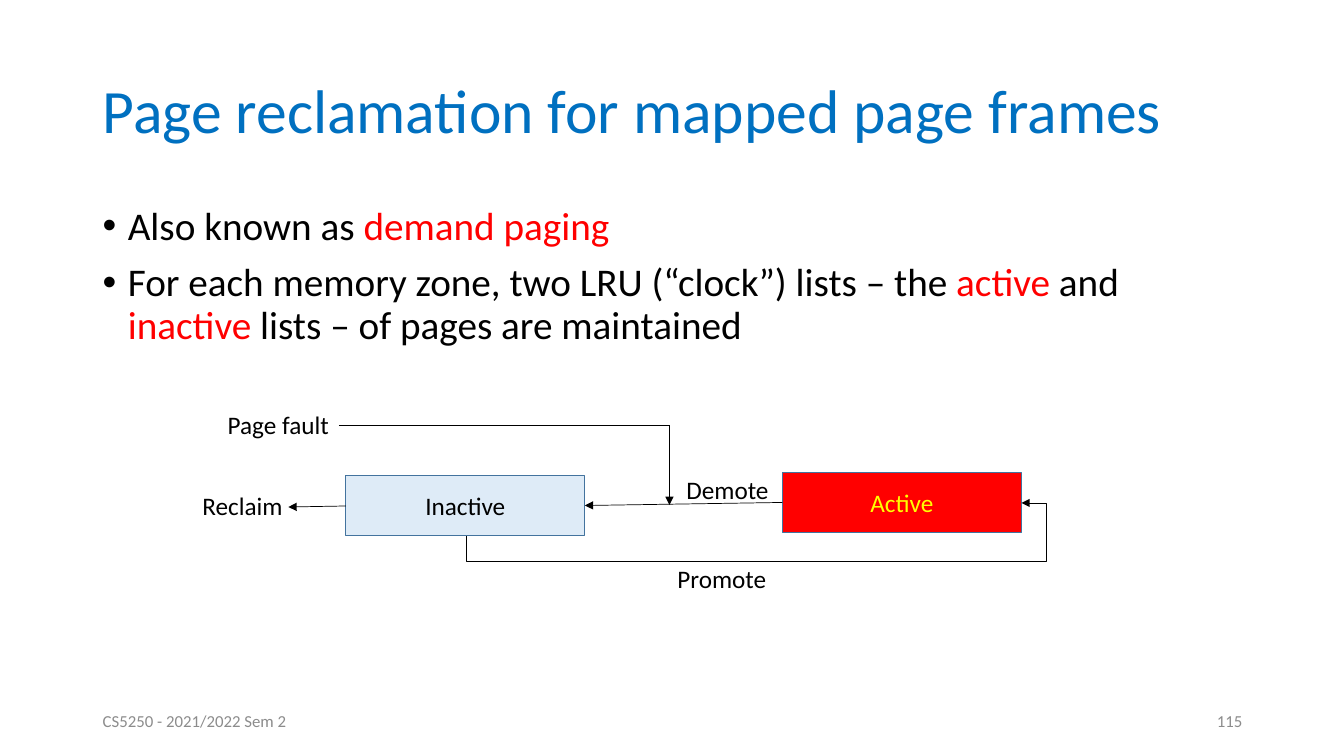
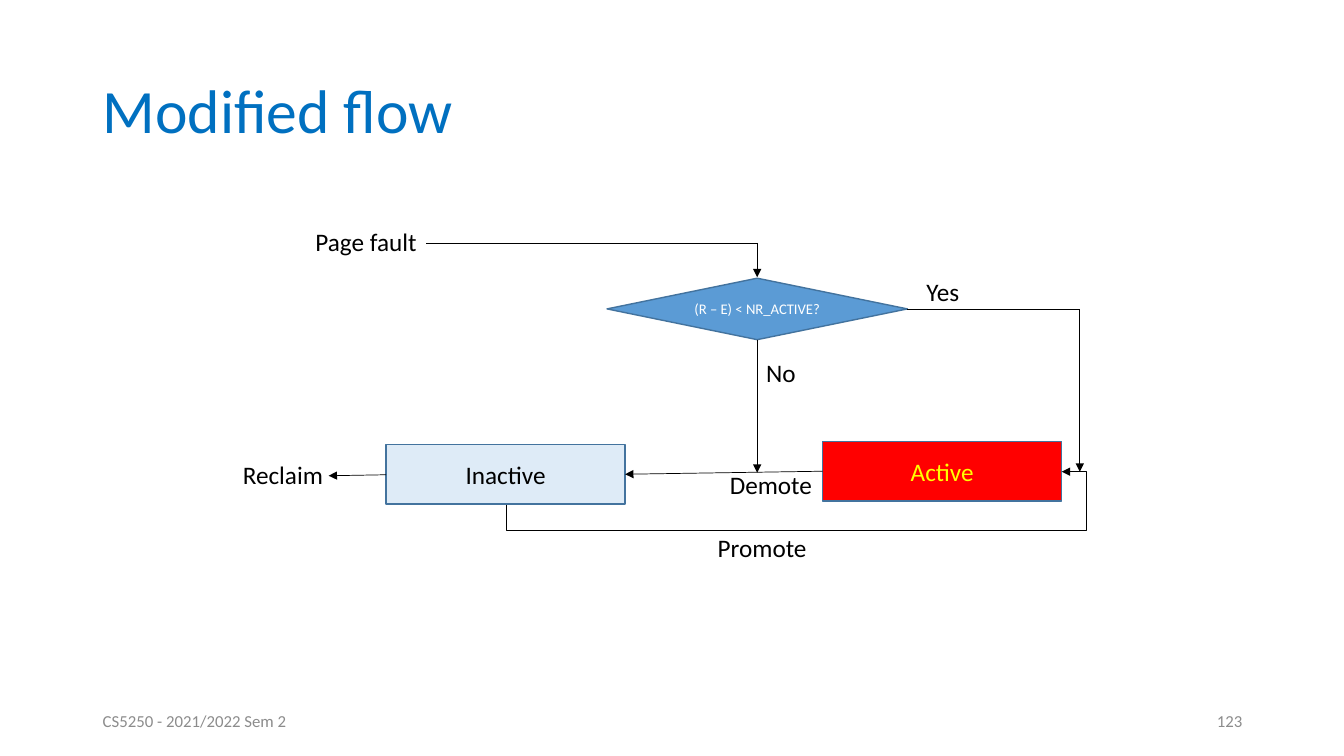
from dataclasses import dataclass

import lxml.etree
import pptx
import pptx.dml.color
import pptx.enum.shapes
import pptx.enum.text
import pptx.oxml.ns
import pptx.util

Inches = pptx.util.Inches
Pt = pptx.util.Pt
qn = pptx.oxml.ns.qn
Shapes = pptx.enum.shapes.MSO_SHAPE
Connectors = pptx.enum.shapes.MSO_CONNECTOR
Align = pptx.enum.text.PP_ALIGN
Anchor = pptx.enum.text.MSO_ANCHOR

BLACK, WHITE, RED, YELLOW = "000000", "FFFFFF", "FF0000", "FFFF00"
TITLE_BLUE, PALE_BLUE, MID_BLUE, EDGE_BLUE = "0070C0", "DEEBF7", "5B9BD5", "43739E"
GREY = "8C8C8C"
FOOTER = "CS5250 - 2021/2022 Sem 2"
MARGIN, CONTENT_WIDTH = 0.92, 11.5
NODE_WIDTH, NODE_HEIGHT = 2.37, 0.59


@dataclass(frozen=True)
class Span:
    text: str
    color: str = BLACK


@dataclass(frozen=True)
class Node:
    text: str
    left: float
    top: float
    fill: str
    color: str
    width: float = NODE_WIDTH
    height: float = NODE_HEIGHT
    size: float = 18
    shape: int = Shapes.RECTANGLE


@dataclass(frozen=True)
class Label:
    text: str
    left: float
    top: float
    width: float


@dataclass(frozen=True)
class Line:
    start: tuple[float, float]
    end: tuple[float, float]
    arrow: bool = True


def rgb(color: str):
    return pptx.dml.color.RGBColor.from_string(color)


def write_span(para, span: Span, size: float) -> None:
    run = para.add_run()
    run.text = span.text
    for name, value in {"name": "Calibri", "size": Pt(size)}.items():
        setattr(run.font, name, value)
    run.font.color.rgb = rgb(span.color)


def add_box(page, left: float, top: float, width: float, height: float, **formats):
    box = page.shapes.add_textbox(Inches(left), Inches(top), Inches(width), Inches(height))
    for name, value in ({"word_wrap": True} | formats).items():
        setattr(box.text_frame, name, value)
    return box.text_frame


def add_bullets(page, items: list[list[Span]]) -> None:
    frame = add_box(page, MARGIN, 2, CONTENT_WIDTH, 4.76)
    for index, spans in enumerate(items):
        para = frame.add_paragraph() if index else frame.paragraphs[0]
        properties = para._p.get_or_add_pPr()
        for name, value in {"marL": Inches(0.25), "indent": Inches(-0.25)}.items():
            properties.set(name, str(value))
        font = lxml.etree.SubElement(properties, qn("a:buFont"))
        font.set("typeface", "Arial")
        bullet = lxml.etree.SubElement(properties, qn("a:buChar"))
        bullet.set("char", "•")
        formats = {"line_spacing": 0.9, "space_before": Pt(10 if index else 0)}
        for name, value in formats.items():
            setattr(para, name, value)
        for span in spans:
            write_span(para, span, 28)


def add_label(page, label: Label) -> None:
    frame = add_box(page, label.left, label.top, label.width, 0.4, word_wrap=False)
    write_span(frame.paragraphs[0], Span(label.text), 18)


def add_node(page, node: Node):
    shape = page.shapes.add_shape(
        node.shape, Inches(node.left), Inches(node.top), Inches(node.width), Inches(node.height)
    )
    shape.shadow.inherit = False
    shape.fill.solid()
    shape.fill.fore_color.rgb = rgb(node.fill)
    shape.line.color.rgb = rgb(EDGE_BLUE)
    shape.line.width = Pt(1)
    shape.text_frame.vertical_anchor = Anchor.MIDDLE
    para = shape.text_frame.paragraphs[0]
    para.alignment = Align.CENTER
    write_span(para, Span(node.text, node.color), node.size)
    return shape


def add_line(page, line: Line, kind: int = Connectors.STRAIGHT):
    connector = page.shapes.add_connector(
        kind, *(Inches(value) for value in (*line.start, *line.end))
    )
    connector.line.color.rgb = rgb(BLACK)
    connector.line.width = Pt(0.5)
    if line.arrow:
        outline = connector.line._get_or_add_ln()
        lxml.etree.SubElement(outline, qn("a:tailEnd")).set("type", "triangle")
    lxml.etree.SubElement(connector._element.spPr, qn("a:effectLst"))
    return connector


def add_return_loop(page, line: Line, overshoot: float) -> None:
    (start_x, start_y), (end_x, end_y) = line.start, line.end
    breadth, rise = end_x - start_x, start_y - end_y
    connector = add_line(page, line, Connectors.ELBOW)
    connector.left = Inches((start_x + end_x - rise) / 2)
    connector.top = Inches((start_y + end_y - breadth) / 2)
    connector.width, connector.height = Inches(rise), Inches(breadth)
    properties = connector._element.spPr
    frame = properties.find(qn("a:xfrm"))
    for name, value in {"rot": "5400000", "flipH": "1", "flipV": "1"}.items():
        frame.set(name, value)
    geometry = properties.find(qn("a:prstGeom"))
    geometry.set("prst", "bentConnector4")
    adjustments = geometry.find(qn("a:avLst"))
    if adjustments is None:
        adjustments = lxml.etree.SubElement(geometry, qn("a:avLst"))
    ratios = {"adj1": -overshoot / rise, "adj2": 1 + overshoot / breadth}
    for name, ratio in ratios.items():
        guide = lxml.etree.SubElement(adjustments, qn("a:gd"))
        guide.set("name", name)
        guide.set("fmla", f"val {round(ratio * 100000)}")


def add_page(deck, title: str, number: int):
    page = deck.slides.add_slide(deck.slide_layouts[6])
    frame = add_box(page, MARGIN, 0.4, CONTENT_WIDTH, 1.45, vertical_anchor=Anchor.MIDDLE)
    frame.paragraphs[0].line_spacing = 0.9
    write_span(frame.paragraphs[0], Span(title, TITLE_BLUE), 44)
    footers = [(MARGIN, FOOTER, Align.LEFT), (9.42, str(number), Align.RIGHT)]
    for left, text, alignment in footers:
        frame = add_box(page, left, 6.95, 3, 0.4, vertical_anchor=Anchor.MIDDLE)
        frame.paragraphs[0].alignment = alignment
        write_span(frame.paragraphs[0], Span(text, GREY), 12)
    return page


def draw_lists(page, left: float, top: float) -> None:
    inactive = add_node(page, Node("Inactive", left, top, PALE_BLUE, BLACK))
    active = add_node(page, Node("Active", left + 4.33, top - 0.03, RED, YELLOW))
    demote = add_line(page, Line((left + 4.33, top + 0.27), (left + NODE_WIDTH, top + 0.28)))
    demote.begin_connect(active, 1)
    demote.end_connect(inactive, 3)
    promote = Line((left + 1.19, top + 0.6), (left + 6.7, top + 0.27))
    add_return_loop(page, promote, 0.25)
    add_line(page, Line((left, top + 0.3), (left - 0.57, top + 0.31)))
    add_label(page, Label("Reclaim", left - 1.52, top + 0.1, 1.01))
    add_label(page, Label("Promote", left + 3.19, top + 0.82, 1.09))


def draw_page_fault(page, left: float, top: float, arrow_end: float) -> None:
    add_label(page, Label("Page fault", left, top, 1.22))
    corner = (left + 4.48, top + 0.21)
    add_line(page, Line((left + 1.2, top + 0.21), corner, arrow=False))
    add_line(page, Line(corner, (corner[0], arrow_end)))


def build_reclamation(deck) -> None:
    page = add_page(deck, "Page reclamation for mapped page frames", 115)
    add_bullets(page, [
        [Span("Also known as "), Span("demand paging", RED)],
        [
            Span("For each memory zone, two LRU (“clock”) lists – the "),
            Span("active", RED),
            Span(" and "),
            Span("inactive", RED),
            Span(" lists – of pages are maintained"),
        ],
    ])
    draw_lists(page, 3.43, 4.72)
    draw_page_fault(page, 2.16, 4.01, 5.01)
    add_label(page, Label("Demote", 6.71, 4.66, 1.03))


def build_modified_flow(deck) -> None:
    page = add_page(deck, "Modified flow", 123)
    draw_lists(page, 3.83, 4.41)
    draw_page_fault(page, 3.03, 2.2, 2.75)
    add_node(page, Node(
        "(R – E) < NR_ACTIVE?", 6.02, 2.76, MID_BLUE, WHITE, 2.98, 0.61, 10.5,
        Shapes.FLOWCHART_DECISION,
    ))
    for line in (
        Line((7.51, 3.37), (7.51, 4.69)),
        Line((9, 3.07), (10.71, 3.07), arrow=False),
        Line((10.71, 3.07), (10.71, 4.68)),
    ):
        add_line(page, line)
    for label in (
        Label("Demote", 7.14, 4.61, 1.03),
        Label("No", 7.5, 3.5, 0.5),
        Label("Yes", 9.09, 2.69, 0.53),
    ):
        add_label(page, label)


def main() -> None:
    deck = pptx.Presentation()
    deck.slide_width, deck.slide_height = Inches(13.33), Inches(7.5)
    build_reclamation(deck)
    build_modified_flow(deck)
    deck.save("out.pptx")


if __name__ == "__main__":
    main()
